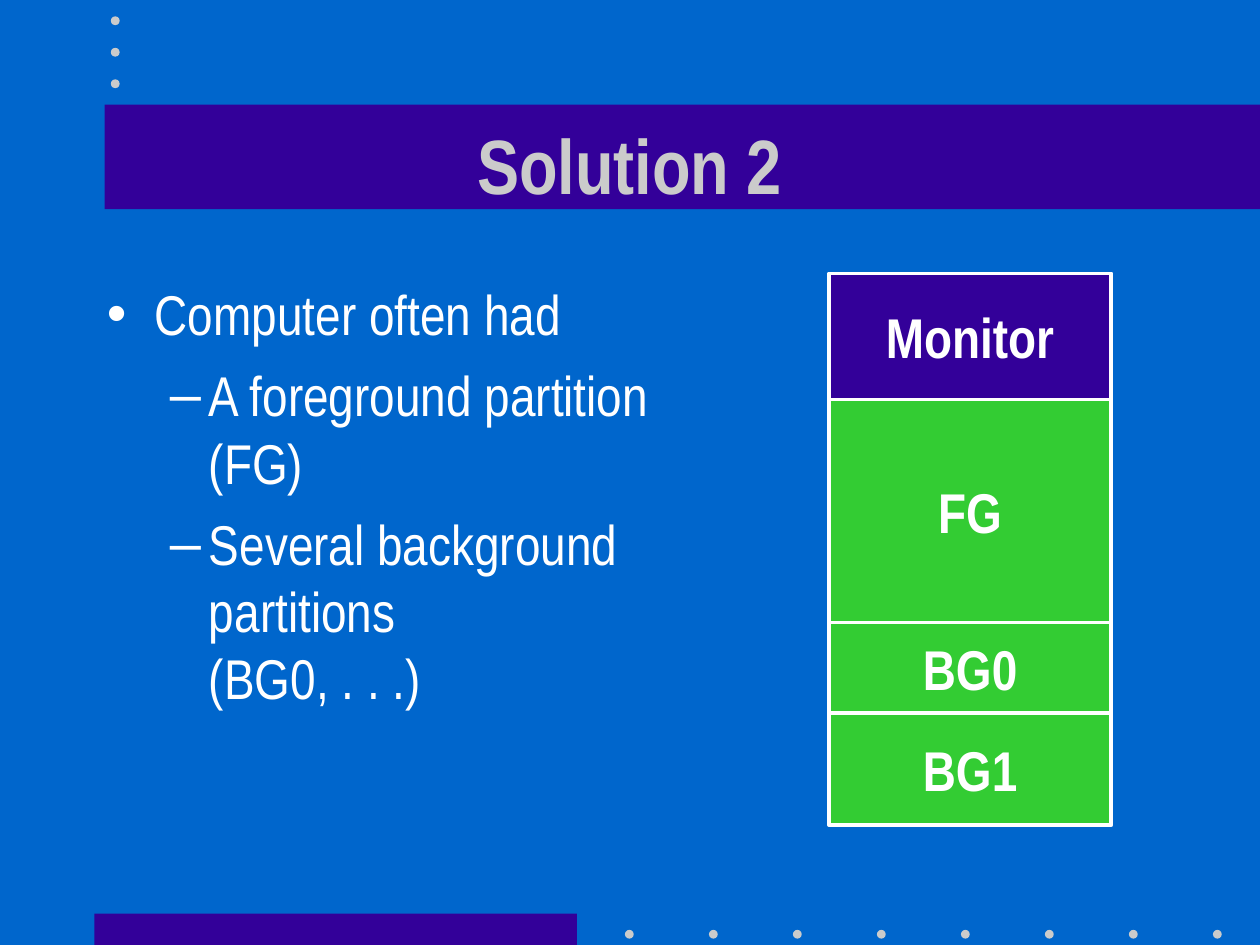
from lxml.etree import SubElement
from pptx import Presentation
from pptx.dml.color import RGBColor
from pptx.enum.shapes import MSO_SHAPE
from pptx.enum.text import MSO_ANCHOR, PP_ALIGN
from pptx.oxml.ns import qn
from pptx.util import Inches, Pt

BLUE = RGBColor(0x00, 0x66, 0xCC)
PURPLE = RGBColor(0x33, 0x00, 0x99)
GREEN = RGBColor(0x33, 0xCC, 0x33)
GREY = RGBColor(0xCB, 0xCB, 0xCB)
WHITE = RGBColor(0xFF, 0xFF, 0xFF)
FONT = "Arial Narrow"
DOT = 0.07

# Bullet character, left margin and hanging indent for each level
LEVELS = [("•", 0.38, -0.38), ("–", 0.81, -0.31)]
BODY = [
    (0, ["Computer often had"]),
    (1, ["A foreground partition (FG)"]),
    (1, ["Several background partitions", "(BG0, . . .)"]),
]
PARTITIONS = [
    ("Monitor", 1, PURPLE),
    ("FG", 1.77, GREEN),
    ("BG0", 0.72, GREEN),
    ("BG1", 0.89, GREEN),
]


def add_filled(s, kind, x, y, w, h, color):
    sp = s.shapes.add_shape(kind, Inches(x), Inches(y), Inches(w), Inches(h))
    sp.shadow.inherit = False
    sp.fill.solid()
    sp.fill.fore_color.rgb = color
    sp.line.fill.background()
    return sp


def add_run(p, text, size, color, bold=False):
    r = p.add_run()
    r.text = text
    r.font.name = FONT
    r.font.size = Pt(size)
    r.font.bold = bold
    r.font.color.rgb = color


def add_text_box(s, x, y, w, h):
    tf = s.shapes.add_textbox(Inches(x), Inches(y), Inches(w), Inches(h)).text_frame
    tf.word_wrap = True
    return tf


def add_dots(s, x, y, count, dx=0, dy=0):
    for i in range(count):
        add_filled(s, MSO_SHAPE.OVAL, x + i * dx, y + i * dy, DOT, DOT, GREY)


def add_decoration(s):
    add_filled(s, MSO_SHAPE.RECTANGLE, 0.75, 7.25, 3.83, 0.25, PURPLE)
    add_dots(s, 4.96, 7.38, 8, dx=2 / 3)
    add_filled(s, MSO_SHAPE.RECTANGLE, 0.83, 0.83, 9.17, 0.83, PURPLE)
    add_dots(s, 0.88, 0.13, 3, dy=0.25)


def add_title(s, text):
    tf = add_text_box(s, 0.75, 0.67, 8.5, 1.25)
    tf.vertical_anchor = MSO_ANCHOR.MIDDLE
    p = tf.paragraphs[0]
    p.alignment = PP_ALIGN.CENTER
    add_run(p, text, 44, GREY, bold=True)


def set_bullet(p, level):
    char, margin, indent = LEVELS[level]
    p.level = level
    pPr = p._p.get_or_add_pPr()
    pPr.set("marL", str(Inches(margin)))
    pPr.set("indent", str(Inches(indent)))
    color = SubElement(pPr, qn("a:buClr"))
    SubElement(color, qn("a:srgbClr"), val=str(WHITE))
    SubElement(pPr, qn("a:buFont"), typeface="Arial")
    SubElement(pPr, qn("a:buChar"), char=char)


def add_body(s, items):
    tf = add_text_box(s, 0.75, 2.17, 5.01, 4.5)
    for i, (level, lines) in enumerate(items):
        p = tf.add_paragraph() if i else tf.paragraphs[0]
        p.space_before = Pt(8)
        set_bullet(p, level)
        for j, line in enumerate(lines):
            if j:
                p.add_line_break()
            add_run(p, line, 32, WHITE)


def add_partitions(s, partitions, x=6.58, y=2.17, w=2.24):
    """Stack the memory partitions downwards from y."""
    for name, h, color in partitions:
        sp = add_filled(s, MSO_SHAPE.RECTANGLE, x, y, w, h, color)
        sp.line.color.rgb = WHITE
        sp.line.width = Pt(2)
        tf = sp.text_frame
        tf.word_wrap = False
        tf.vertical_anchor = MSO_ANCHOR.MIDDLE
        p = tf.paragraphs[0]
        p.alignment = PP_ALIGN.CENTER
        add_run(p, name, 32, WHITE, bold=True)
        y += h


def main():
    prs = Presentation()
    prs.slide_width, prs.slide_height = Inches(10), Inches(7.5)
    s = prs.slides.add_slide(prs.slide_layouts[6])
    s.background.fill.solid()
    s.background.fill.fore_color.rgb = BLUE
    add_decoration(s)
    add_title(s, "Solution 2")
    add_body(s, BODY)
    add_partitions(s, PARTITIONS)
    prs.save("out.pptx")


if __name__ == "__main__":
    main()
